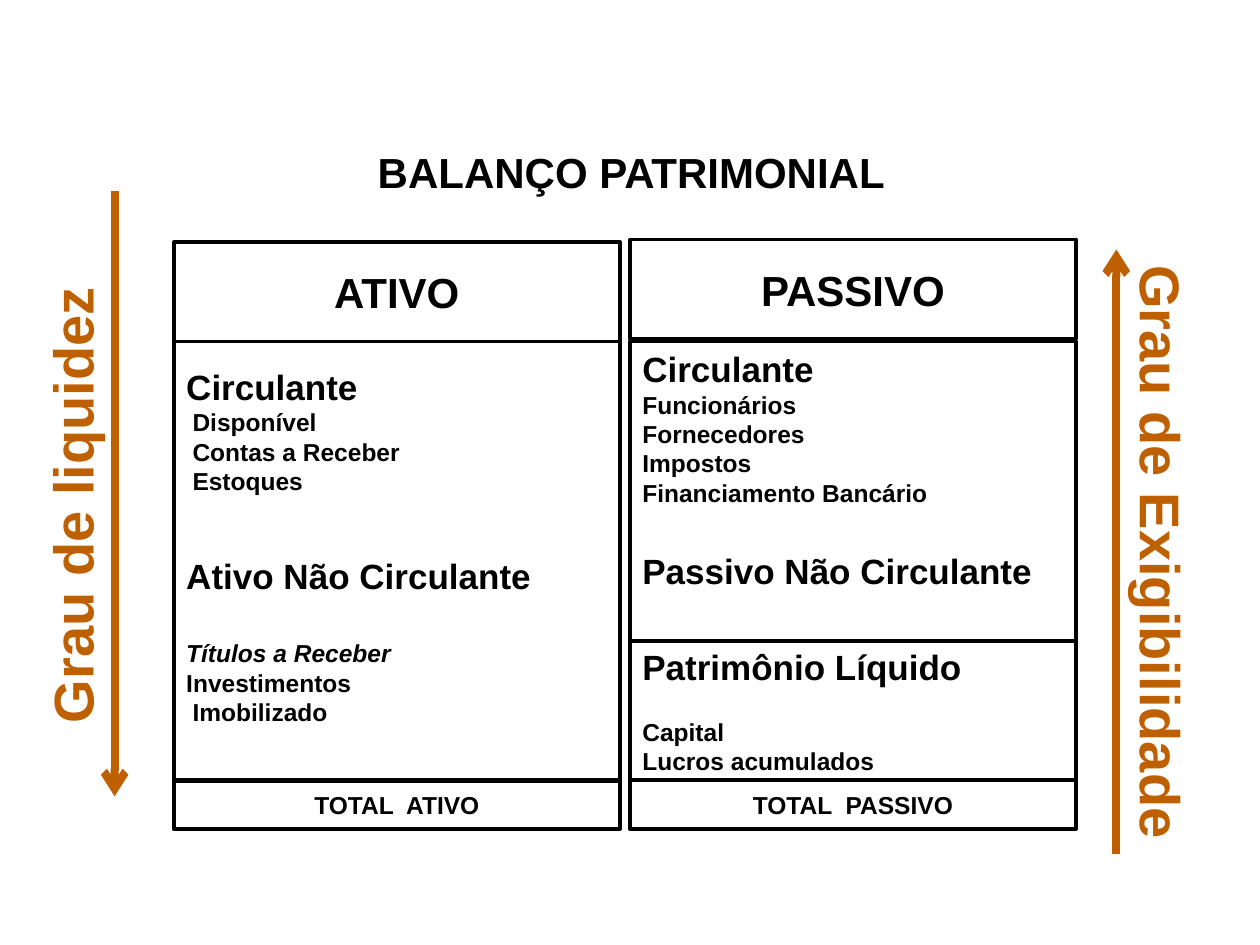
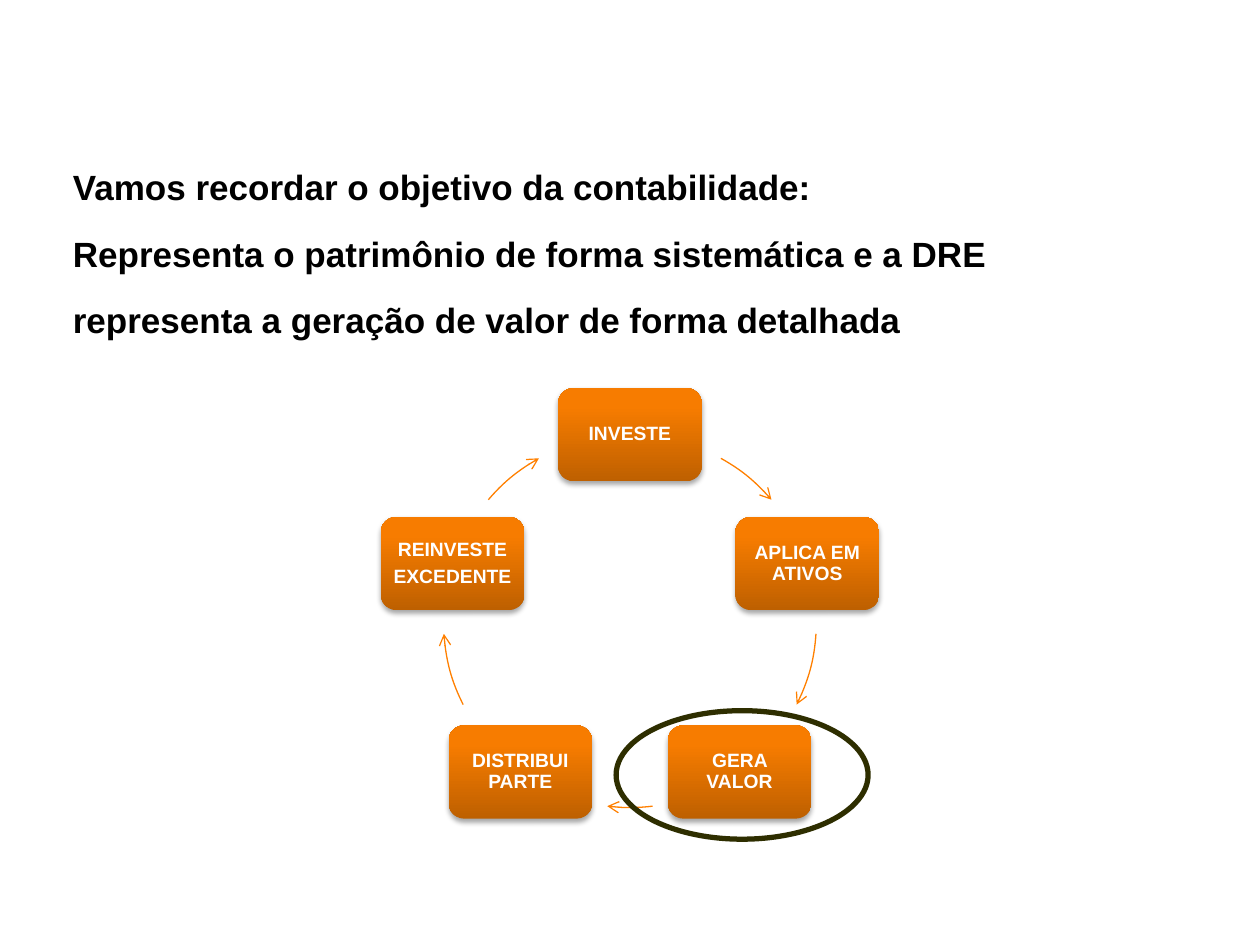
import copy
import math

import pptx
import pptx.dml.color
import pptx.enum.shapes
import pptx.enum.text
import pptx.oxml
import pptx.oxml.ns
import pptx.util

Inches = pptx.util.Inches
Pt = pptx.util.Pt
RGBColor = pptx.dml.color.RGBColor
SHAPE = pptx.enum.shapes.MSO_SHAPE
ALIGN = pptx.enum.text.PP_ALIGN
ANCHOR = pptx.enum.text.MSO_ANCHOR
qn = pptx.oxml.ns.qn

FONT = "Arial"
BLACK = RGBColor(0x00, 0x00, 0x00)
WHITE = RGBColor(0xFF, 0xFF, 0xFF)
DARK_ORANGE = RGBColor(0xBF, 0x60, 0x00)
ORANGE = RGBColor(0xFF, 0x80, 0x00)
OLIVE = RGBColor(0x2E, 0x2E, 0x00)
NODE_STOPS = [
    (0, RGBColor(0xBE, 0x60, 0x00)),
    (0.8, RGBColor(0xF7, 0x7C, 0x00)),
    (1, RGBColor(0xF8, 0x7D, 0x00)),
]
NAMESPACE = 'xmlns:a="http://schemas.openxmlformats.org/drawingml/2006/main"'
ARROWHEAD = f'<a:tailEnd {NAMESPACE} type="arrow"/>'
NODE_SHADOW = (
    f'<a:outerShdw {NAMESPACE} blurRad="39370" dist="22860" dir="5400000" rotWithShape="0">'
    '<a:srgbClr val="000000"><a:alpha val="35000"/></a:srgbClr></a:outerShdw>'
)


def add_text(frame, text, size, color=BLACK, alignment=ALIGN.LEFT, italic=False):
    paragraph = frame.paragraphs[0]
    if paragraph.runs:
        paragraph = frame.add_paragraph()
    paragraph.alignment = alignment
    run = paragraph.add_run()
    run.text = text
    run.font.name = FONT
    run.font.size = Pt(size)
    run.font.bold = True
    run.font.italic = italic
    run.font.color.rgb = color
    return paragraph


def add_outline(slide, kind, left, top, width, height, color, weight):
    shape = slide.shapes.add_shape(kind, Inches(left), Inches(top), Inches(width), Inches(height))
    shape.shadow.inherit = False
    shape.fill.background()
    shape.line.color.rgb = color
    shape.line.width = Pt(weight)
    shape.text_frame.word_wrap = True
    shape.text_frame.vertical_anchor = ANCHOR.MIDDLE
    return shape


presentation = pptx.Presentation()
presentation.slide_width = Inches(10)
presentation.slide_height = Inches(7.5)

balance_slide = presentation.slides.add_slide(presentation.slide_layouts[5])
title = balance_slide.shapes.title
title.left, title.top, title.width, title.height = Inches(0.51), Inches(1.07), Inches(9), Inches(0.63)
title.text_frame.vertical_anchor = ANCHOR.MIDDLE
add_text(title.text_frame, "BALANÇO PATRIMONIAL", 24, alignment=ALIGN.CENTER).line_spacing = 0.9

ASSETS_LEFT, LIABILITIES_LEFT, COLUMN_WIDTH = 1.38, 5, 3.54

account_boxes = [
    (ASSETS_LEFT, 2.71, 3.49, 2, 0.19, [
        ("Circulante", 20, 0, 0, False),
        ("Disponível", 14, 0, 0.05, False),
        ("Contas a Receber", 14, 0, 0.05, False),
        ("Estoques", 14, 0, 0.05, False),
        ("Ativo Não Circulante", 20, 33.5, 0, False),
        ("Títulos a Receber", 14, 24, 0, True),
        ("Investimentos", 14, 0, 0, False),
        ("Imobilizado", 14, 0, 0.05, False),
    ]),
    (LIABILITIES_LEFT, 2.71, 2.38, 2, 0.05, [
        ("Circulante", 20, 0, 0, False),
        ("Funcionários", 14, 0, 0, False),
        ("Fornecedores", 14, 0, 0, False),
        ("Impostos", 14, 0, 0, False),
        ("Financiamento Bancário", 14, 0, 0, False),
        ("Passivo Não Circulante", 20, 24, 0, False),
    ]),
    (LIABILITIES_LEFT, 5.09, 1.1, 2.25, 0.03, [
        ("Patrimônio Líquido", 20, 0, 0, False),
        ("Capital", 14, 17, 0, False),
        ("Lucros acumulados", 14, 0, 0, False),
    ]),
]
for left, top, height, weight, margin, accounts in account_boxes:
    box = add_outline(balance_slide, SHAPE.RECTANGLE, left, top, COLUMN_WIDTH, height, BLACK, weight)
    frame = box.text_frame
    frame.vertical_anchor = ANCHOR.TOP
    frame.margin_top = Inches(margin)
    frame.margin_bottom = 0
    for text, size, space_before, indent, italic in accounts:
        paragraph = add_text(frame, text, size, italic=italic)
        if space_before:
            paragraph.space_before = Pt(space_before)
        if indent:
            paragraph._p.get_or_add_pPr().set("marL", str(Inches(indent)))

for text, left, top, height, size, weight in [
    ("ATIVO", ASSETS_LEFT, 1.92, 0.79, 24, 2),
    ("PASSIVO", LIABILITIES_LEFT, 1.9, 0.79, 24, 2),
    ("TOTAL  ATIVO", ASSETS_LEFT, 6.19, 0.39, 14, 2.25),
    ("TOTAL  PASSIVO", LIABILITIES_LEFT, 6.19, 0.39, 14, 2.25),
]:
    box = add_outline(balance_slide, SHAPE.RECTANGLE, left, top, COLUMN_WIDTH, height, BLACK, weight)
    add_text(box.text_frame, text, size, alignment=ALIGN.CENTER)

for x, start, end in [(0.91, 1.52, 6.32), (8.86, 6.78, 1.98)]:
    arrow = balance_slide.shapes.add_connector(
        pptx.enum.shapes.MSO_CONNECTOR.STRAIGHT, Inches(x), Inches(start), Inches(x), Inches(end))
    arrow.line.color.rgb = DARK_ORANGE
    arrow.line.width = Pt(4.5)
    arrow.line._get_or_add_ln().append(pptx.oxml.parse_xml(ARROWHEAD))
    arrow._element.spPr.append(pptx.oxml.parse_xml(f"<a:effectLst {NAMESPACE}/>"))

for text, left, top, width, direction in [
    ("Grau de liquidez", 0.25, 1.61, 0.55, "vert270"),
    ("Grau de Exigibilidade", 8.91, 1.98, 0.63, "vert"),
]:
    label = balance_slide.shapes.add_textbox(Inches(left), Inches(top), Inches(width), Inches(4.8))
    label.text_frame.word_wrap = True
    label.text_frame._txBody.bodyPr.set("vert", direction)
    add_text(label.text_frame, text, 32, DARK_ORANGE, ALIGN.CENTER)

cycle_slide = presentation.slides.add_slide(presentation.slide_layouts[6])

CENTER_X, CENTER_Y, RADIUS = 5, 4.93, 1.48
NODE_WIDTH, NODE_HEIGHT = 1.14, 0.74
steps = [
    (["INVESTE"], 299.2, 319.4),
    (["APLICA EM ATIVOS"], 3.9, 26.6),
    (["GERA VALOR"], 83, 97),
    (["DISTRIBUI PARTE"], 153.4, 176.1),
    (["REINVESTE", "EXCEDENTE"], 220.6, 240.8),
]
for index, (lines, arc_start, arc_end) in enumerate(steps):
    angle = math.radians(360 / len(steps) * index - 90)
    left = CENTER_X + RADIUS * math.cos(angle) - NODE_WIDTH / 2
    top = CENTER_Y + RADIUS * math.sin(angle) - NODE_HEIGHT / 2
    node = add_outline(cycle_slide, SHAPE.ROUNDED_RECTANGLE, left, top, NODE_WIDTH, NODE_HEIGHT, ORANGE, 1)
    node.line.fill.background()
    node.fill.gradient()
    node.fill.gradient_angle = 90
    stop_list = node._element.spPr.find(qn("a:gradFill")).find(qn("a:gsLst"))
    stop_list.append(copy.deepcopy(stop_list[-1]))
    for stop, (position, color) in zip(node.fill.gradient_stops, NODE_STOPS):
        stop.position = position
        stop.color.rgb = color
    node._element.spPr.find(qn("a:effectLst")).append(pptx.oxml.parse_xml(NODE_SHADOW))
    frame = node.text_frame
    frame.margin_left = frame.margin_right = Inches(0.04)
    frame.margin_top = frame.margin_bottom = Inches(0.04)
    for line in lines:
        paragraph = add_text(frame, line, 11, WHITE, ALIGN.CENTER)
        paragraph.line_spacing = 0.9
        paragraph.space_after = Pt(3.85)

    arc = add_outline(cycle_slide, SHAPE.ARC, CENTER_X - RADIUS, CENTER_Y - RADIUS,
                      2 * RADIUS, 2 * RADIUS, ORANGE, 0.75)
    arc.adjustments[0] = arc_start * 0.6
    arc.adjustments[1] = arc_end * 0.6
    arc.line._get_or_add_ln().append(pptx.oxml.parse_xml(ARROWHEAD))

objective = cycle_slide.shapes.add_textbox(Inches(0.48), Inches(1.07), Inches(8.82), Inches(1.7))
objective.text_frame.word_wrap = True
for text in [
    "Vamos recordar o objetivo da contabilidade:",
    "Representa o patrimônio de forma sistemática e a DRE representa a geração de valor de forma detalhada",
]:
    add_text(objective.text_frame, text, 20).line_spacing = Pt(38)

add_outline(cycle_slide, SHAPE.OVAL, 4.89, 5.64, 2, 1.02, OLIVE, 3)

presentation.save("out.pptx")
